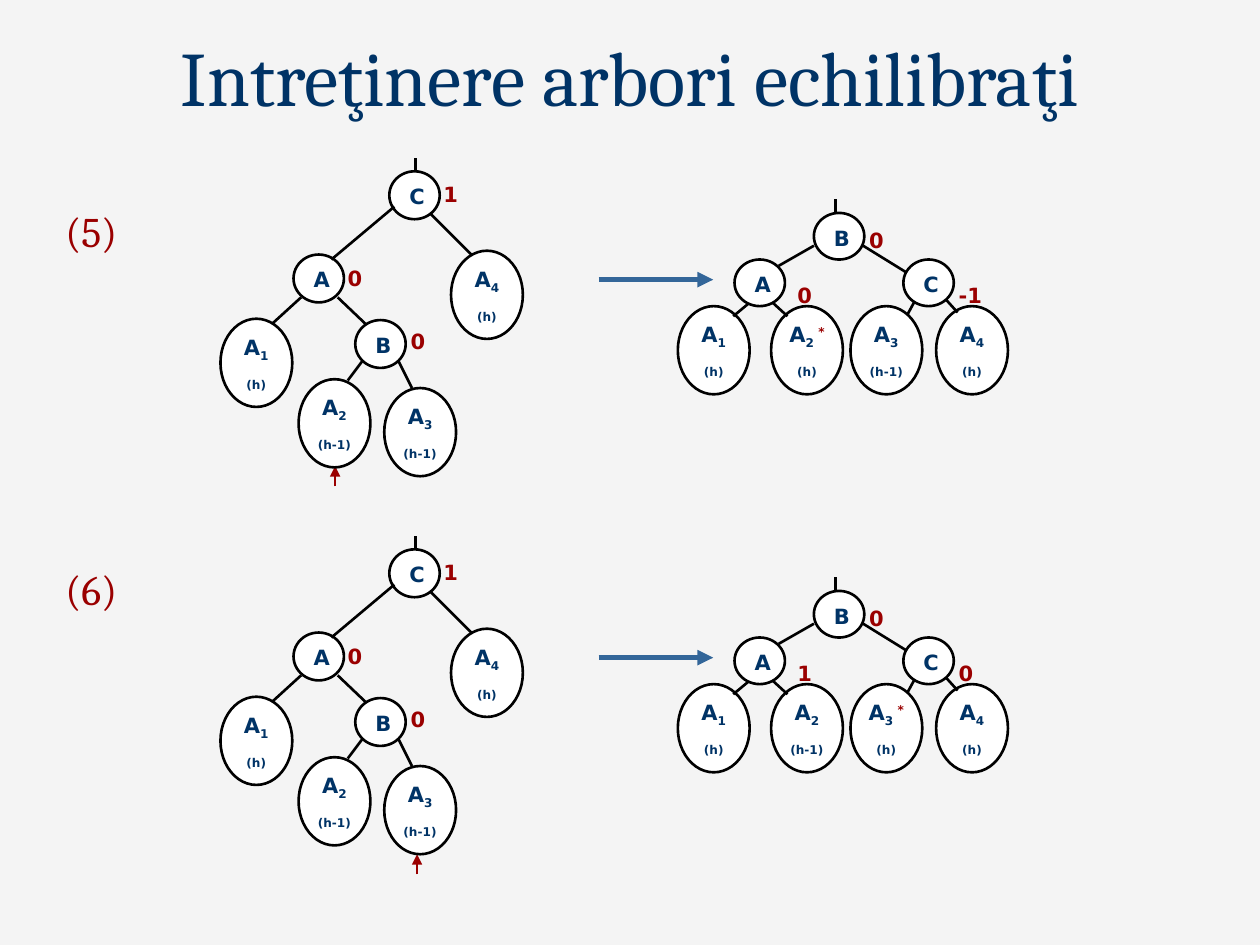
import pptx
import pptx.util
import pptx.dml.color
import pptx.enum.shapes
import pptx.enum.text
import pptx.oxml.ns
import lxml.etree

Inches = pptx.util.Inches
Pt = pptx.util.Pt
RGBColor = pptx.dml.color.RGBColor
PP_ALIGN = pptx.enum.text.PP_ALIGN
MSO_ANCHOR = pptx.enum.text.MSO_ANCHOR
OVAL = pptx.enum.shapes.MSO_SHAPE.OVAL
STRAIGHT = pptx.enum.shapes.MSO_CONNECTOR.STRAIGHT
qn = pptx.oxml.ns.qn

COLORS = {
    "background": "F4F4F4",
    "navy": "003366",
    "red": "9A0000",
    "blue": "336699",
    "black": "000000",
    "white": "FFFFFF",
}
RGB = {name: RGBColor.from_string(value) for name, value in COLORS.items()}


def add_text(p, text, size=12, font="DejaVu Sans", color="navy", bold=True, baseline=0):
    r = p.add_run()
    r.text = text
    r.font.size = Pt(size)
    r.font.name = font
    r.font.bold = bold
    r.font.color.rgb = RGB[color]
    if baseline:
        r.font._element.set("baseline", str(baseline * 1000))


def add_line(shapes, x1, y1, x2, y2, color="black", width=1.5, arrow=False):
    sp = shapes.add_connector(STRAIGHT, Inches(x1), Inches(y1), Inches(x2), Inches(y2))
    sp.line.color.rgb = RGB[color]
    sp.line.width = Pt(width)
    if arrow:
        ln = sp.line._get_or_add_ln()
        lxml.etree.SubElement(ln, qn("a:tailEnd"), type="triangle")
    lxml.etree.SubElement(sp._element.spPr, qn("a:effectLst"))


before = {
    "nodes": [("A", 2.33, 2.02), ("B", 2.82, 2.54), ("C", 3.09, 1.36)],
    "node_height": 0.38,
    "leaves": [(1.75, 2.53), (2.37, 3.01), (3.05, 3.08), (3.58, 1.99)],
    "edges": [
        (3.3, 1.36, 3.3, 1.25), (3.41, 1.69, 3.74, 2.02),
        (3.13, 1.64, 2.63, 2.06), (2.39, 2.36, 2.16, 2.57),
        (2.68, 2.36, 2.9, 2.57), (2.88, 2.86, 2.76, 3.02),
        (3.16, 2.86, 3.27, 3.08),
    ],
    "balances": [(3.16, 2.56), (2.66, 2.06), (3.42, 1.39)],
}
after = {
    "nodes": [("A", 5.83, 2.06), ("B", 6.46, 1.69), ("C", 7.17, 2.06)],
    "node_height": 0.37,
    "leaves": [(5.38, 2.43), (6.12, 2.43), (6.75, 2.43), (7.43, 2.43)],
    "edges": [
        (6.63, 1.69, 6.63, 1.58), (6.85, 1.95, 7.19, 2.16),
        (5.94, 2.41, 5.82, 2.51), (7.26, 2.39, 7.2, 2.5),
        (7.51, 2.38, 7.6, 2.48), (6.13, 2.4, 6.25, 2.51),
        (6.46, 1.95, 6.18, 2.11),
    ],
    "balances": [(6.23, 2.19), (7.51, 2.19), (6.8, 1.76)],
}
before_heights = ["(h)", "(h-1)", "(h-1)", "(h)"]
trees = [
    (before, 0, before_heights, ["0", "0", "1"], None, (2.66, 3.86)),
    (after, 0, ["(h)", "(h)", "(h-1)", "(h)"], ["0", "-1", "0"], 2, None),
    (before, 3, before_heights, ["0", "0", "1"], None, (3.31, 3.94)),
    (after, 3, ["(h)", "(h-1)", "(h)", "(h)"], ["1", "0", "0"], 3, None),
]

prs = pptx.Presentation()
prs.slide_width = Inches(10)
prs.slide_height = Inches(7.5)
s = prs.slides.add_slide(prs.slide_layouts[5])
s.background.fill.solid()
s.background.fill.fore_color.rgb = RGB["background"]

title = s.shapes.title
title.left, title.top, title.width, title.height = Inches(0), Inches(0.18), Inches(10), Inches(0.84)
tf = title.text_frame
tf.vertical_anchor = MSO_ANCHOR.BOTTOM
tf.paragraphs[0].alignment = PP_ALIGN.CENTER
add_text(tf.paragraphs[0], "Intreţinere arbori echilibraţi", size=44, font="Cambria", bold=False)

for tree, dy, heights, balances, starred, insertion in trees:
    shapes = s.shapes.add_group_shape().shapes
    if insertion:
        x, y = insertion
        add_line(shapes, x, y + dy, x, y + dy - 0.16, color="red", arrow=True)

    for name, x, y in tree["nodes"]:
        sp = shapes.add_shape(OVAL, Inches(x), Inches(y + dy), Inches(0.4), Inches(tree["node_height"]))
        sp.shadow.inherit = False
        sp.fill.solid()
        sp.fill.fore_color.rgb = RGB["white"]
        sp.line.color.rgb = RGB["black"]
        sp.line.width = Pt(1.5)
        label = shapes.add_textbox(Inches(x + 0.06), Inches(y + dy + 0.05), Inches(0.29), Inches(0.3))
        label.text_frame.word_wrap = True
        add_text(label.text_frame.paragraphs[0], name)

    for number, ((x, y), height) in enumerate(zip(tree["leaves"], heights), 1):
        sp = shapes.add_shape(OVAL, Inches(x), Inches(y + dy), Inches(0.57), Inches(0.7))
        sp.shadow.inherit = False
        sp.fill.solid()
        sp.fill.fore_color.rgb = RGB["white"]
        sp.line.color.rgb = RGB["black"]
        sp.line.width = Pt(1.5)
        tf = sp.text_frame
        tf.word_wrap = False
        tf.vertical_anchor = MSO_ANCHOR.MIDDLE
        p = tf.paragraphs[0]
        p.alignment = PP_ALIGN.CENTER
        add_text(p, "A")
        if number == starred:
            add_text(p, f"{number} ", baseline=-25)
            add_text(p, "*", color="red", baseline=30)
        else:
            add_text(p, str(number), baseline=-25)
        p = tf.add_paragraph()
        p.alignment = PP_ALIGN.CENTER
        add_text(p, height, baseline=-25)

    for x1, y1, x2, y2 in tree["edges"]:
        add_line(shapes, x1, y1 + dy, x2, y2 + dy)

    for (x, y), balance in zip(tree["balances"], balances):
        width = 0.4 if balance == "-1" else 0.32
        label = shapes.add_textbox(Inches(x), Inches(y + dy), Inches(width), Inches(0.3))
        label.text_frame.word_wrap = False
        add_text(label.text_frame.paragraphs[0], balance, color="red")

for case, case_top, arrow_y in [("(5)", 1.58, 2.22), ("(6)", 4.42, 5.22)]:
    add_line(s.shapes, 4.75, arrow_y, 5.66, arrow_y, color="blue", width=3, arrow=True)
    label = s.shapes.add_textbox(Inches(0.42), Inches(case_top), Inches(0.67), Inches(0.5))
    label.text_frame.word_wrap = True
    add_text(label.text_frame.paragraphs[0], case, size=24, font="Cambria", color="red", bold=False)

prs.save("out.pptx")
